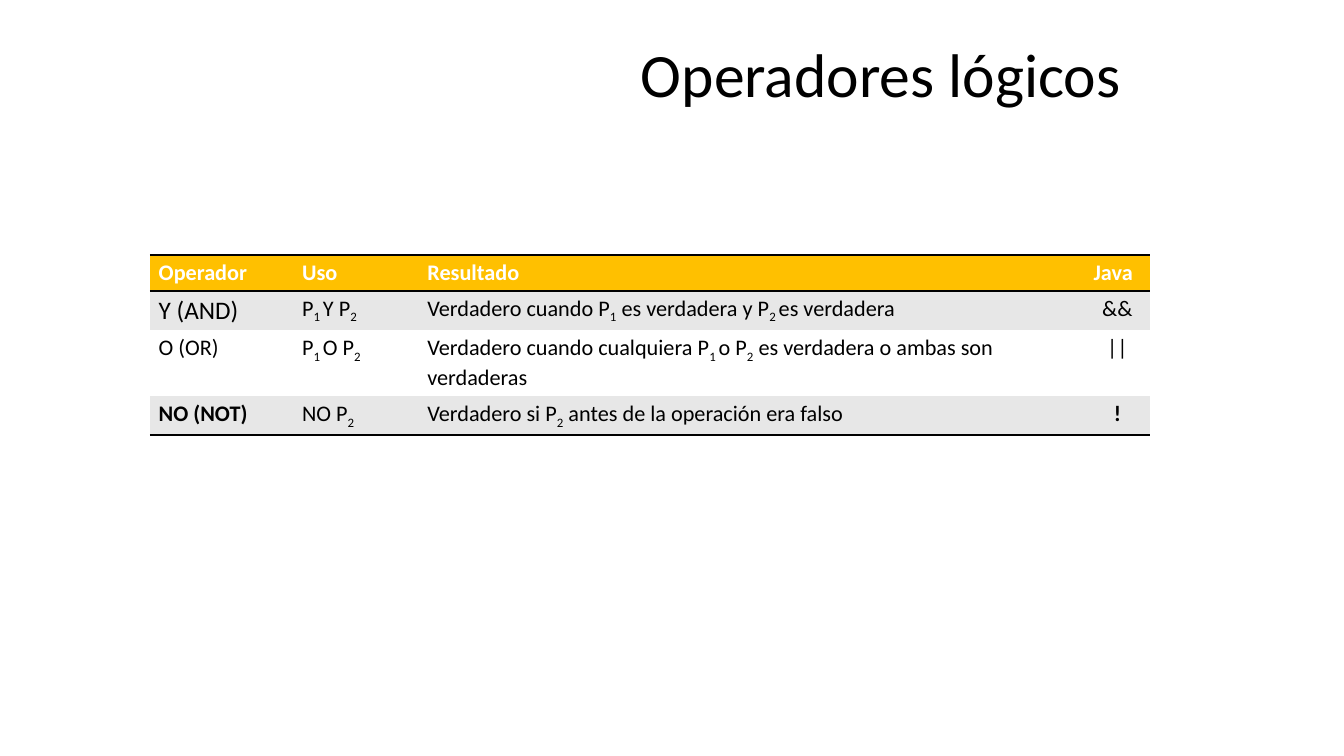
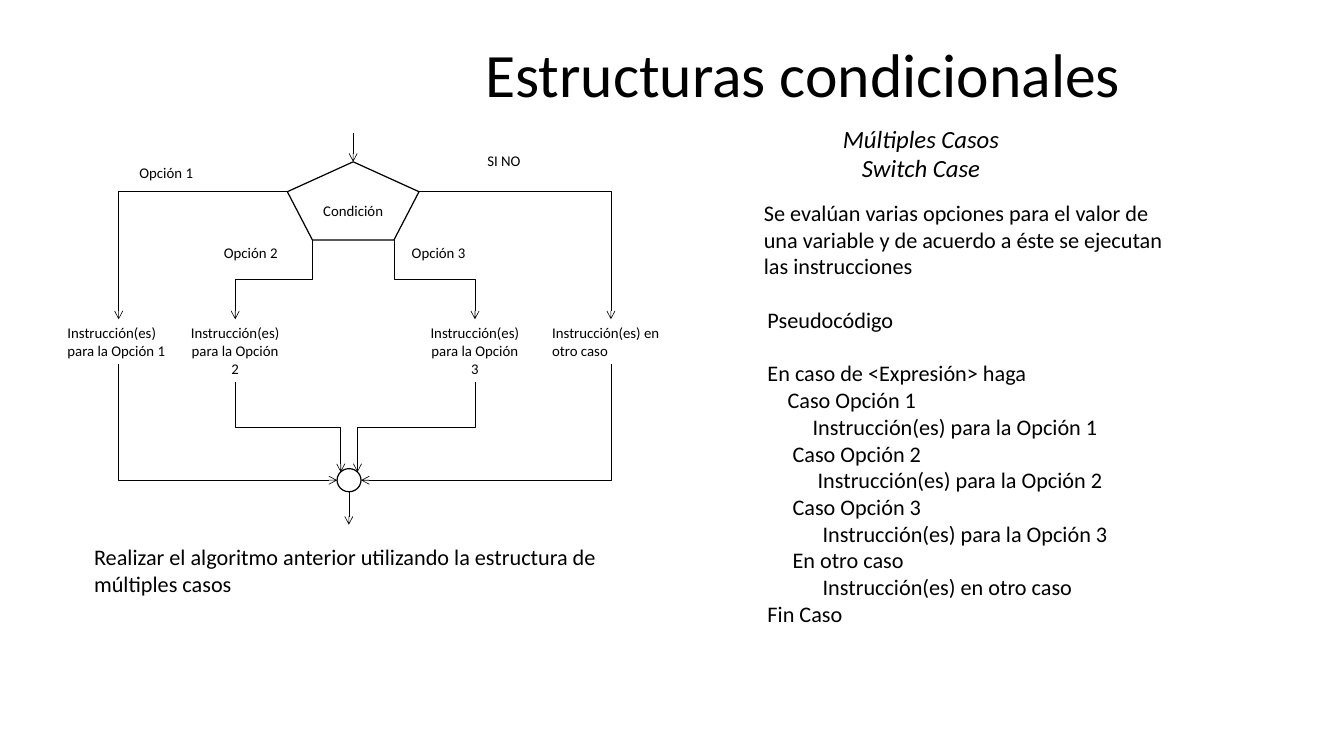
from lxml import etree
from pptx import Presentation
from pptx import util as u
from pptx.dml import color
from pptx.enum import shapes, text
from pptx.oxml import ns

Pt = u.Pt
BLACK, WHITE, AMBER, GREY = "000000", "FFFFFF", "FFC000", "E7E7E7"
LEFT, CENTER, RIGHT = text.PP_ALIGN.LEFT, text.PP_ALIGN.CENTER, text.PP_ALIGN.RIGHT
TOP, BOTTOM = 0, 2
SITES = {
    "text": {TOP: (0.5, 0), BOTTOM: (0.5, 1)},
    "pentagon": {1: (0, 0.38), 2: (0.19, 1), 4: (0.81, 1), 5: (1, 0.38)},
    "ellipse": {1: (0.15, 0.15), 2: (0, 0.5), 6: (1, 0.5), 7: (0.85, 0.15)},
}


def paint(target, value):
    target.rgb = color.RGBColor.from_string(value)


def fill(target, value):
    target.fill.solid()
    paint(target.fill.fore_color, value)


def write(frame, content, size=12, ink=BLACK, bold=False, italic=False,
          align=LEFT, spacing=None, gaps=None):
    for index, line in enumerate(content.split("\n")):
        para = frame.paragraphs[0] if index == 0 else frame.add_paragraph()
        para.alignment = align
        if spacing:
            para.line_spacing = spacing
        if gaps and index in gaps:
            para.space_before = Pt(gaps[index])
        for order, piece in enumerate(line.split("~")):
            if not piece:
                continue
            span = para.add_run()
            span.text = piece
            span.font.name, span.font.size = "Calibri", Pt(size)
            span.font.bold, span.font.italic = bold, italic
            paint(span.font.color, ink)
            if order % 2:
                span.font._element.set("baseline", "-25000")


class Lesson:
    def __init__(self):
        self.deck = Presentation()
        self.deck.slide_width, self.deck.slide_height = Pt(1088), Pt(612)
        self.page = None

    def slide(self, title):
        self.page = self.deck.slides.add_slide(self.deck.slide_layouts[6])
        fill(self.page.background, WHITE)
        self.label(title, 75, 32.4, 839.5, 118, size=49.9, align=RIGHT, spacing=0.9)

    def label(self, content, left, top, width, height, wrap=True, **style):
        box = self.page.shapes.add_textbox(Pt(left), Pt(top), Pt(width), Pt(height))
        box.text_frame.word_wrap = wrap
        if not wrap:
            box.text_frame.auto_size = text.MSO_AUTO_SIZE.SHAPE_TO_FIT_TEXT
        write(box.text_frame, content, **style)
        return box

    def node(self, kind, left, top, width, height, content="", back=None):
        shape = self.page.shapes.add_shape(kind, Pt(left), Pt(top), Pt(width), Pt(height))
        shape.shadow.inherit = False
        if back:
            fill(shape, back)
        else:
            shape.fill.background()
        paint(shape.line.color, BLACK)
        shape.line.width = Pt(1)
        shape.text_frame.vertical_anchor = text.MSO_ANCHOR.MIDDLE
        write(shape.text_frame, content, align=CENTER)
        return shape

    def arrow(self, kind, start, end):
        line = self.page.shapes.add_connector(kind, *map(int, start + end))
        paint(line.line.color, BLACK)
        line.line.width = Pt(0.5)
        outline = line.line._get_or_add_ln()
        etree.SubElement(outline, ns.qn("a:tailEnd"), type="arrow")
        etree.SubElement(line._element.spPr, ns.qn("a:effectLst"))
        return line

    def straight(self, x, top, bottom):
        self.arrow(shapes.MSO_CONNECTOR.STRAIGHT, (Pt(x), Pt(top)), (Pt(x), Pt(bottom)))

    def elbow(self, source, target, bends, downward):
        (x1, y1), (x2, y2) = [
            (shape.left + shape.width * SITES[kind][site][0],
             shape.top + shape.height * SITES[kind][site][1])
            for shape, kind, site in (source, target)]
        start, end = (x1, y1), (x2, y2)
        if downward:
            middle_x, middle_y = (x1 + x2) / 2, (y1 + y2) / 2
            reach, rise = (y2 - y1) / 2, abs(x2 - x1) / 2
            if x2 > x1:
                reach = -reach
            start = (middle_x - reach, middle_y - rise)
            end = (middle_x + reach, middle_y + rise)
        line = self.arrow(shapes.MSO_CONNECTOR.ELBOW, start, end)
        properties = line._element.spPr
        properties.find(ns.qn("a:prstGeom")).set("prst", f"bentConnector{bends + 1}")
        if downward:
            turn = 270 if x2 > x1 else 90
            properties.find(ns.qn("a:xfrm")).set("rot", str(turn * 60000))
        ends = line._element.nvCxnSpPr.cNvCxnSpPr
        for tag, (shape, _, site) in (("a:stCxn", source), ("a:endCxn", target)):
            etree.SubElement(ends, ns.qn(tag), id=str(shape.shape_id), idx=str(site))

    def table(self, rows, left, top, widths, heights):
        frame = self.page.shapes.add_table(len(rows), len(widths), Pt(left), Pt(top),
                                           Pt(sum(widths)), Pt(sum(heights)))
        grid = frame.table
        for column, width in zip(grid.columns, widths):
            column.width = Pt(width)
        for row, height in zip(grid.rows, heights):
            row.height = Pt(height)
        last = len(rows) - 1
        for r, row in enumerate(rows):
            for c, content in enumerate(row):
                cell = grid.cell(r, c)
                write(cell.text_frame, content, size=20.4 if (r, c) == (1, 0) else 18,
                      ink=BLACK if r else WHITE,
                      bold=r == 0 or (r == last and c in (0, 3)),
                      align=CENTER if r and c == 3 else LEFT)
                ruled = {"T": r in (0, 1), "B": r in (0, last)}
                for side in "LRTB":
                    self.border(cell, side, ruled.get(side, False))
                fill(cell, AMBER if r == 0 else GREY if r % 2 else WHITE)

    def border(self, cell, side, visible):
        edge = etree.SubElement(cell._tc.get_or_add_tcPr(), ns.qn(f"a:ln{side}"),
                                w=str(Pt(2 if visible else 0)))
        if visible:
            solid = etree.SubElement(edge, ns.qn("a:solidFill"))
            etree.SubElement(solid, ns.qn("a:srgbClr"), val=BLACK)
        else:
            etree.SubElement(edge, ns.qn("a:noFill"))


def logical_operators(lesson):
    lesson.slide("Operadores lógicos")
    lesson.table([
        ("Operador", "Uso", "Resultado", "Java"),
        ("Y (AND)", "P~1 ~Y P~2", "Verdadero cuando P~1~ es verdadera y P~2 ~es verdadera", "&&"),
        ("O (OR)", "P~1 ~O P~2",
         "Verdadero cuando cualquiera P~1 ~o P~2~ es verdadera o ambas son verdaderas", "||"),
        ("NO (NOT)", "NO P~2", "Verdadero si P~2~ antes de la operación era falso", "!"),
    ], 121.3, 206.2, (116, 101.5, 539.3, 53), (29.2, 29.2, 41.8, 29.2))


def conditional_structures(lesson):
    lesson.slide("Estructuras condicionales")
    lesson.label("Múltiples Casos\nSwitch Case", 658.8, 96.5, 173.5, 55.4,
                 size=20, italic=True, align=CENTER)

    condition = lesson.node(shapes.MSO_SHAPE.REGULAR_PENTAGON, 232.6, 131, 106.6, 63.4, "Condición")
    lesson.straight(285.9, 108, 131)
    junction = lesson.node(shapes.MSO_SHAPE.OVAL, 272.9, 379.4, 19.4, 18.7, back=WHITE)
    lesson.straight(282.4, 398.2, 424.8)

    branches = [
        ("Instrucción(es) para la Opción 1", 47.5, 97.2, 36, LEFT, 1, 2, 1),
        ("Instrucción(es) para la Opción 2", 144.7, 91.4, 51, CENTER, 2, 1, 2),
        ("Instrucción(es) para la Opción 3", 339.1, 90.7, 51, CENTER, 4, 7, 2),
        ("Instrucción(es) en otro caso", 439.9, 109.4, 36, LEFT, 5, 6, 1),
    ]
    for content, left, width, height, align, leave, arrive, bends in branches:
        box = lesson.label(content, left, 258.5, width, height, align=align)
        lesson.elbow((condition, "pentagon", leave), (box, "text", TOP), bends, bends == 2)
        lesson.elbow((box, "text", BOTTOM), (junction, "ellipse", arrive), bends, True)

    for content, left, top, width in (
            ("Opción 1", 105.8, 128.9, 58.3), ("Opción 2", 174.2, 193.7, 58.3),
            ("Opción 3", 326.2, 193.7, 58.3), ("SI NO", 387.4, 119.5, 41.8)):
        lesson.label(content, left, top, width, 21.6, wrap=False)

    lesson.label("""Pseudocódigo
En caso de <Expresión> haga
    Caso Opción 1
         Instrucción(es) para la Opción 1
     Caso Opción 2
          Instrucción(es) para la Opción 2
     Caso Opción 3
           Instrucción(es) para la Opción 3
     En otro caso
           Instrucción(es) en otro caso
Fin Caso""", 614.2, 244.1, 293.8, 269.3, wrap=False, size=18, gaps={1: 22})
    lesson.label("Se evalúan varias opciones para el valor de una variable y de acuerdo "
                 "a éste se ejecutan las instrucciones", 611.3, 157.7, 343.4, 72.7, size=18)
    lesson.label("Realizar el algoritmo anterior utilizando la estructura de múltiples casos",
                 69.1, 436.3, 458.6, 51.1, size=18)


def main():
    lesson = Lesson()
    logical_operators(lesson)
    conditional_structures(lesson)
    lesson.deck.save("out.pptx")


if __name__ == "__main__":
    main()
